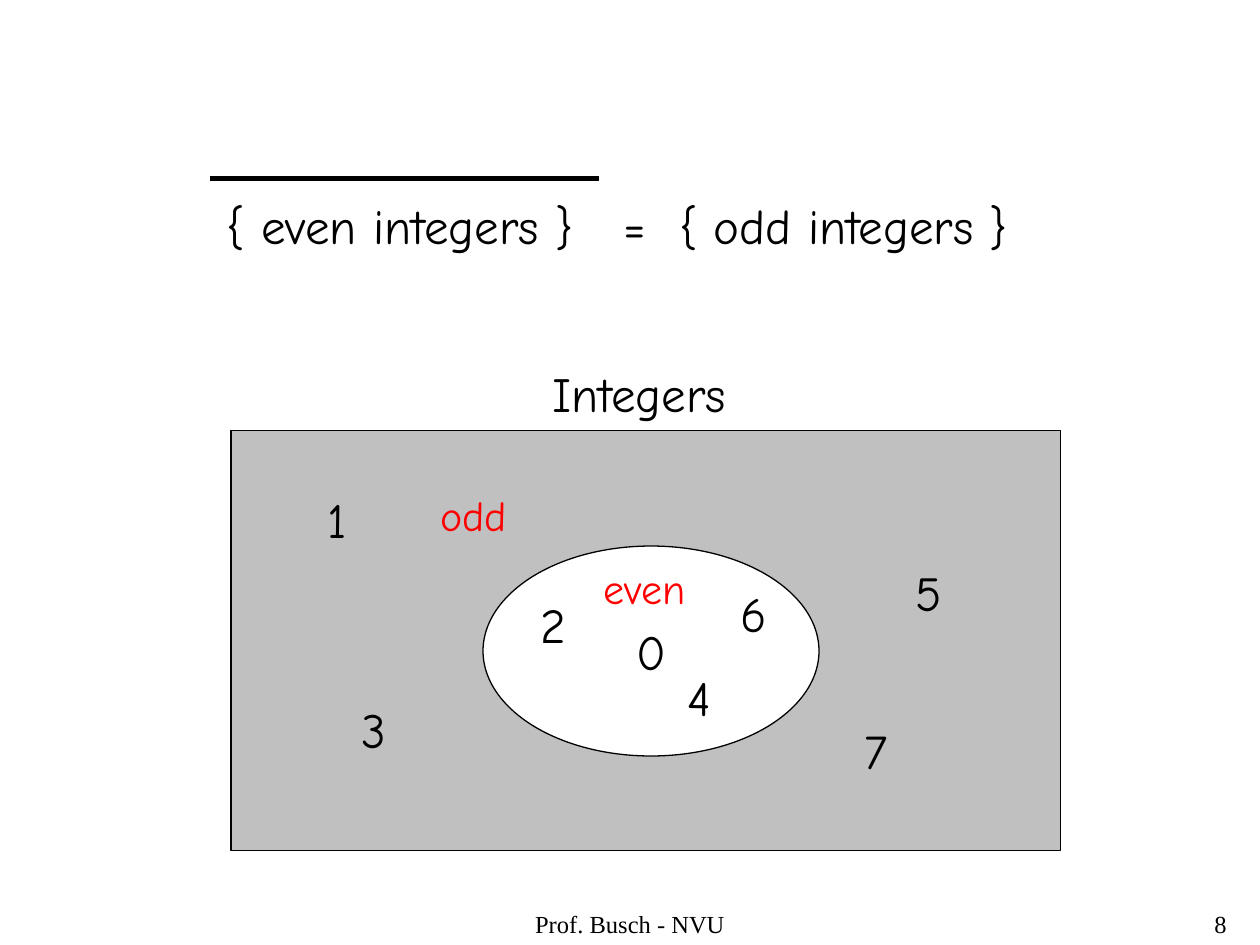
"""Build a slide on the complement of the even integers, with a Venn diagram."""
import pptx
import pptx.util
import pptx.dml.color
import pptx.enum.shapes
import pptx.enum.text
import lxml.etree

THEME = {
    "ink": pptx.dml.color.RGBColor(0, 0, 0),
    "red": pptx.dml.color.RGBColor(255, 0, 0),
    "grey": pptx.dml.color.RGBColor(192, 192, 192),
    "white": pptx.dml.color.RGBColor(255, 255, 255),
    "main": ("Comic Neue", 28),
    "name": ("Comic Neue", 24),
    "foot": ("Times New Roman", 14),
}
ALIGN = pptx.enum.text.PP_ALIGN
ANCHOR = pptx.enum.text.MSO_ANCHOR
SHAPE = pptx.enum.shapes.MSO_SHAPE

deck = pptx.Presentation()
deck.slide_width = pptx.util.Inches(10)
deck.slide_height = pptx.util.Inches(7.5)
slide = deck.slides.add_slide(deck.slide_layouts[5])
shapes = slide.shapes


def grid(*cells):
    """Turn cells of a 120 by 90 grid into lengths."""
    return [round(cell * deck.slide_width / 120) for cell in cells]


def write(shape, text, style, color="ink", align=ALIGN.CENTER, wrap=True):
    """Put one styled paragraph in a shape and return it."""
    frame = shape.text_frame
    frame.word_wrap = wrap
    frame.text = text
    line = frame.paragraphs[0]
    line.alignment = align
    line.font.name, size = THEME[style]
    line.font.size = pptx.util.Pt(size)
    line.font.color.rgb = THEME[color]
    return line


title = shapes.title
title.left, title.top, title.width, title.height = grid(20.4, 18, 86.4, 6.8)
title.text_frame.vertical_anchor = ANCHOR.MIDDLE
title.text_frame.auto_size = pptx.enum.text.MSO_AUTO_SIZE.NONE
line = write(title, "{ even integers }\t=\t{ odd integers }", "main", align=ALIGN.LEFT)
tabs = pptx.oxml.parse_xml(
    '<a:tabLst xmlns:a="http://schemas.openxmlformats.org/drawingml/2006/main"/>'
)
for stop in grid(37.8, 43.1):
    lxml.etree.SubElement(tabs, pptx.oxml.ns.qn("a:tab"), pos=str(stop), algn="l")
line._p.get_or_add_pPr().insert(0, tabs)

left, top, right = grid(20, 17, 57)
bar = shapes.add_connector(
    pptx.enum.shapes.MSO_CONNECTOR.STRAIGHT, left, top, right, top
)
bar.line.color.rgb = THEME["ink"]
bar.line.width = pptx.util.Pt(3)
lxml.etree.SubElement(bar._element.spPr, pptx.oxml.ns.qn("a:effectLst"))

for kind, fill, cells in (
    (SHAPE.RECTANGLE, "grey", (22, 41, 79, 40)),
    (SHAPE.OVAL, "white", (46, 52, 32, 20)),
):
    area = shapes.add_shape(kind, *grid(*cells))
    area.shadow.inherit = False
    area.fill.solid()
    area.fill.fore_color.rgb = THEME[fill]
    area.line.color.rgb = THEME["ink"]
    area.line.width = pptx.util.Pt(0.75)
area.text_frame.vertical_anchor = ANCHOR.MIDDLE
write(area, "0", "main", wrap=False)

for text, mid, row, wide, style, color in (
    ("Integers", 60.9, 34, 19, "main", "ink"),
    ("odd", 45.1, 46, 8.8, "name", "red"),
    ("even", 61.4, 53, 10.3, "name", "red"),
    ("1", 32.1, 46, 4.8, "main", "ink"),
    ("2", 52.7, 56, 4.8, "main", "ink"),
    ("3", 35.6, 66, 4.8, "main", "ink"),
    ("4", 66.6, 63, 4.8, "main", "ink"),
    ("5", 88.4, 53, 4.8, "main", "ink"),
    ("6", 71.7, 55, 4.8, "main", "ink"),
    ("7", 83.4, 68, 4.8, "main", "ink"),
):
    high = 6.8 if style == "main" else 6
    box = shapes.add_textbox(*grid(mid - wide / 2, row, wide, high))
    write(box, text, style, color, wrap=False)

for text, col, wide, align in (
    ("Prof. Busch - NVU", 41, 38, ALIGN.CENTER),
    ("8", 93, 25, ALIGN.RIGHT),
):
    box = shapes.add_textbox(*grid(col, 86, wide, 4))
    write(box, text, "foot", align=align)

deck.save("out.pptx")
